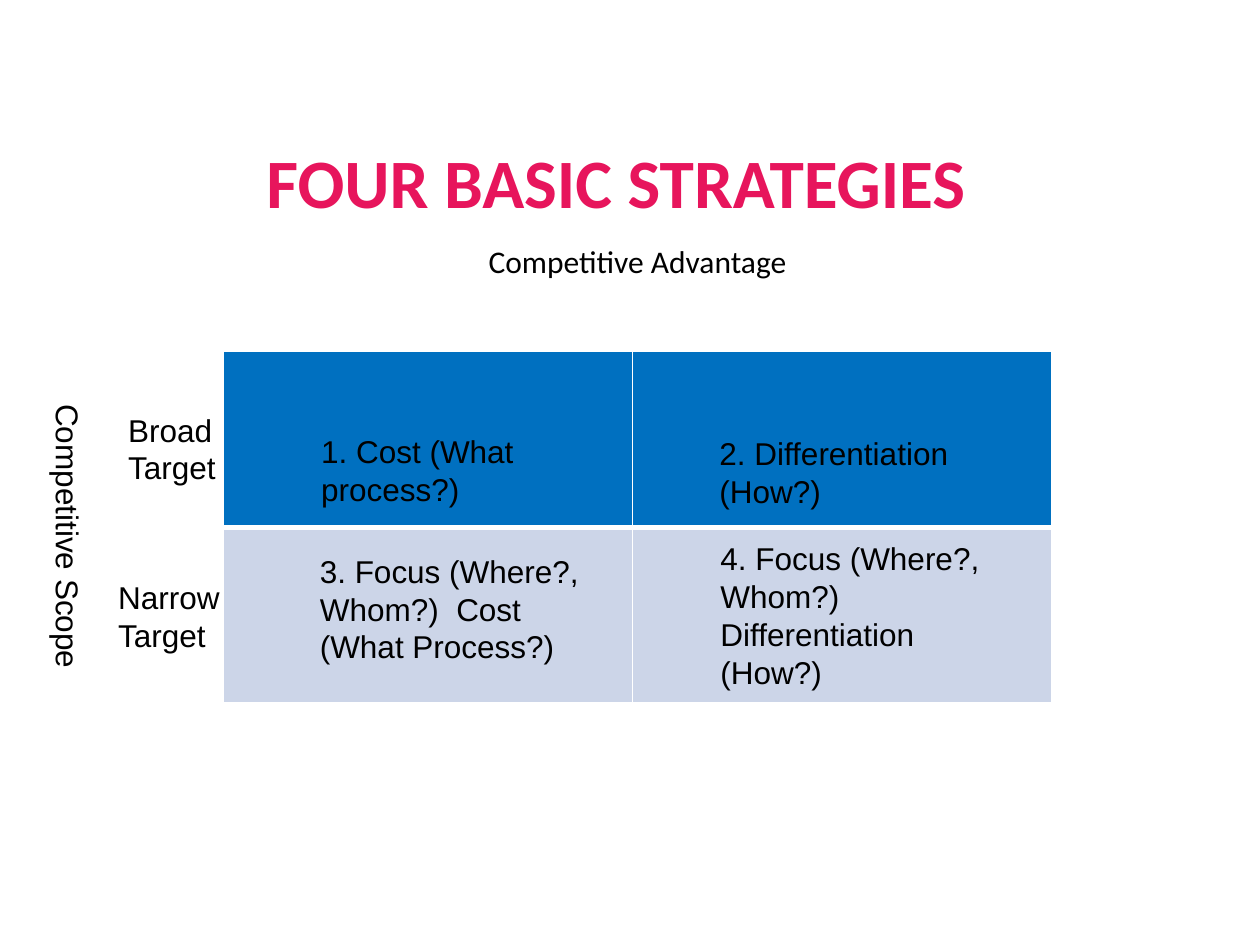
from dataclasses import dataclass

from lxml import etree
from pptx import Presentation
from pptx.dml.color import RGBColor
from pptx.enum import text
from pptx.oxml import ns
from pptx.util import Pt

BLACK = RGBColor(0, 0, 0)
WHITE = RGBColor(255, 255, 255)
PINK = RGBColor(0xE7, 0x15, 0x5C)
BLUE = RGBColor(0x00, 0x70, 0xC0)
PALE_BLUE = RGBColor(0xCC, 0xD5, 0xE8)


@dataclass
class Label:
    content: str
    left: float
    top: float
    width: float
    height: float
    font: str = "Arial"
    size: float = 18
    color: RGBColor = BLACK
    bold: bool = False
    centred: bool = False
    rotation: float = 0


TITLE = Label("FOUR BASIC STRATEGIES", 82, 80.6, 540, 45.4,
              "Calibri", 39.6, PINK, bold=True, centred=True)
SUBTITLE = Label("Competitive Advantage", 94.3, 134.6, 540, 28.8,
                 "Calibri", centred=True)
SCOPE = Label("Competitive Scope", -64.8, 293.8, 205.2, 25.2,
              centred=True, rotation=90)
LABELS = [
    Label("1. Cost (What process?)", 176.4, 243.4, 152.6, 51),
    Label("2. Differentiation (How?)", 404, 244.4, 155.5, 51),
    Label("3. Focus (Where?, Whom?)  Cost (What Process?)", 175.7, 311.8, 175.7, 72.7),
    Label("4. Focus (Where?, Whom?) Differentiation (How?)", 404.6, 304.6, 180, 94.3),
    Label("Broad\nTarget", 66.2, 231.1, 71.3, 51),
    Label("Narrow\nTarget", 60.5, 326.9, 77, 51),
]


def write_label(shape, label: Label) -> None:
    shape.left, shape.top = Pt(label.left), Pt(label.top)
    shape.width, shape.height = Pt(label.width), Pt(label.height)
    shape.rotation = label.rotation
    frame = shape.text_frame
    frame.word_wrap = True
    frame.auto_size = text.MSO_AUTO_SIZE.NONE
    frame.text = label.content
    for paragraph in frame.paragraphs:
        paragraph.space_before = Pt(0)
        paragraph.alignment = (text.PP_ALIGN.CENTER if label.centred
                               else text.PP_ALIGN.LEFT)
        for run in paragraph.runs:
            run.font.name = label.font
            run.font.size = Pt(label.size)
            run.font.bold = label.bold
            run.font.color.rgb = label.color


def add_label(slide, label: Label):
    shape = slide.shapes.add_textbox(0, 0, Pt(label.width), Pt(label.height))
    write_label(shape, label)
    return shape


def set_borders(cell, bottom_width: float, top_width: float) -> None:
    properties = cell._tc.get_or_add_tcPr()
    widths = {"a:lnL": 1, "a:lnR": 1, "a:lnT": top_width, "a:lnB": bottom_width}
    for index, (side, width) in enumerate(widths.items()):
        line = etree.Element(ns.qn(side), w=str(Pt(width)))
        fill = etree.SubElement(line, ns.qn("a:solidFill"))
        etree.SubElement(fill, ns.qn("a:srgbClr"), val=str(WHITE))
        properties.insert(index, line)


def add_strategy_table(slide) -> None:
    column_widths, row_height = (234, 239.8), 100.4
    table = slide.shapes.add_table(2, 2, Pt(127.4), Pt(200.9),
                                   Pt(sum(column_widths)), Pt(2 * row_height)).table
    for column, width in zip(table.columns, column_widths):
        column.width = Pt(width)
    row_styles = [(BLUE, 1, 3), (PALE_BLUE, 3, 1)]
    for row, (color, top_width, bottom_width) in zip(table.rows, row_styles):
        row.height = Pt(row_height)
        for cell in row.cells:
            cell.fill.solid()
            cell.fill.fore_color.rgb = color
            set_borders(cell, bottom_width, top_width)


def main() -> None:
    presentation = Presentation()
    presentation.slide_width, presentation.slide_height = Pt(720), Pt(540)
    slide = presentation.slides.add_slide(presentation.slide_layouts[0])
    title, subtitle = slide.placeholders
    write_label(title, TITLE)
    title.text_frame.vertical_anchor = text.MSO_ANCHOR.MIDDLE
    write_label(subtitle, SUBTITLE)
    add_strategy_table(slide)
    for label in LABELS:
        add_label(slide, label)
    scope = add_label(slide, SCOPE).text_frame
    scope.margin_left = scope.margin_right = Pt(5)
    scope.margin_top = scope.margin_bottom = Pt(2.9)
    scope.paragraphs[0].line_spacing = 0.9
    presentation.save("out.pptx")


if __name__ == "__main__":
    main()
